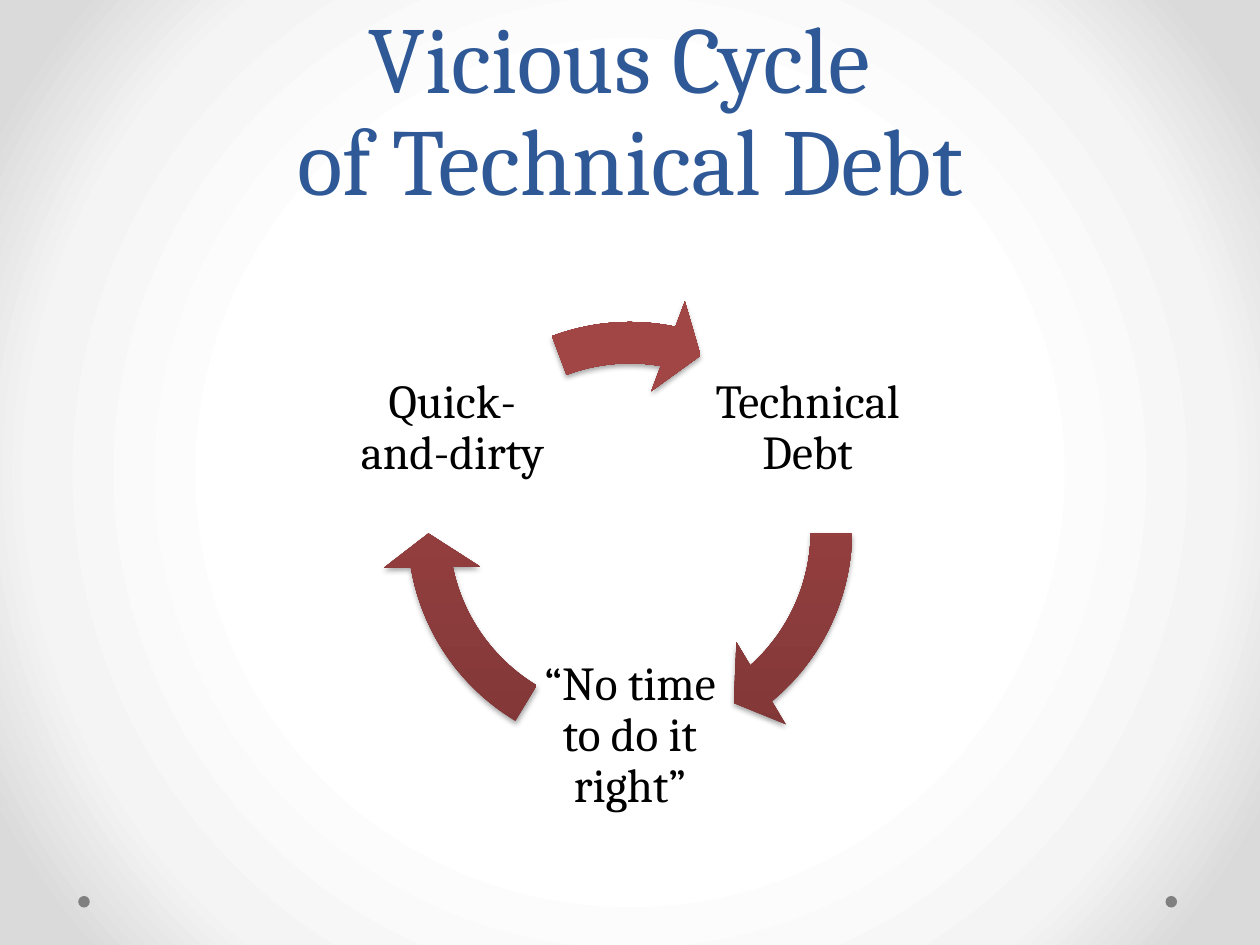
"""Build the slide showing the vicious cycle of technical debt."""
from math import cos, radians, sin

from lxml import etree
from pptx import Presentation
from pptx.dml.color import RGBColor
from pptx.enum.shapes import MSO_SHAPE
from pptx.enum.text import MSO_ANCHOR, MSO_AUTO_SIZE, PP_ALIGN
from pptx.oxml import parse_xml
from pptx.oxml.ns import nsdecls, qn
from pptx.util import Pt

TITLE = "Vicious Cycle \vof Technical Debt"
STEPS = [
    {"label": "Technical Debt", "start": 0.88, "end": 49.37, "top": 160.6},
    {"label": "\u201cNo time to do it right\u201d", "start": 121.02, "end": 169.52, "top": 160.6},
    {"label": "Quick-and-dirty", "start": 249.47, "end": 280.92, "top": 168.5},
]
THEME = {
    "font": "Cambria",
    "title": "2F5897", "title_size": 54, "title_line": 58,
    "label": "000000", "label_size": 27,
    "dot": "808080",
    "arrow": [(0, "7D3535"), (80, "A24545"), (100, "A44343")],
    "background": [(50, "FFFFFF"), (76, "F4F4F4"), (92, "DADADA")],
}
WIDTH, HEIGHT = 720, 540
CENTER_Y, RADIUS = 303.4, 117.2
LABEL_SIDE, ARROW_SIDE = 121, 285
DOT_SIDE, DOT_TOP, DOT_LEFTS = 6.6, 512, (44.7, 666)
LINEAR_UP = '<a:lin ang="16200000" scaled="0"/>'
RADIAL = '<a:path path="circle"><a:fillToRect l="50000" t="50000" r="50000" b="50000"/></a:path>'


def set_gradient(fill, parent, stops, direction):
    fill.gradient()
    stop_xml = "".join(
        f'<a:gs pos="{position * 1000}"><a:srgbClr val="{color}"/></a:gs>'
        for position, color in stops)
    old = parent.find(".//" + qn("a:gradFill"))
    old.getparent().replace(old, parse_xml(
        f'<a:gradFill {nsdecls("a")} rotWithShape="1"><a:gsLst>{stop_xml}</a:gsLst>'
        f'{direction}</a:gradFill>'))


def add_plain_shape(slide, kind, left, top, side):
    shape = slide.shapes.add_shape(kind, Pt(left), Pt(top), Pt(side), Pt(side))
    shape.shadow.inherit = False
    shape.line.fill.background()
    return shape


def style_text(paragraph, size, color, spacing):
    paragraph.alignment = PP_ALIGN.CENTER
    paragraph.line_spacing = spacing
    for run in paragraph.runs:
        run.font.name = THEME["font"]
        run.font.size = Pt(size)
        run.font.color.rgb = RGBColor.from_string(color)


def add_title(slide):
    title = slide.shapes.title
    title.left, title.top, title.width, title.height = Pt(36), Pt(0), Pt(648), Pt(126)
    frame = title.text_frame
    frame.text = TITLE
    frame.auto_size = MSO_AUTO_SIZE.NONE
    frame.vertical_anchor = MSO_ANCHOR.BOTTOM
    style_text(frame.paragraphs[0], THEME["title_size"], THEME["title"], Pt(THEME["title_line"]))


def add_label(slide, text, angle):
    left = WIDTH / 2 + RADIUS * cos(radians(angle)) - LABEL_SIDE / 2
    top = CENTER_Y + RADIUS * sin(radians(angle)) - LABEL_SIDE / 2
    frame = slide.shapes.add_textbox(
        Pt(left), Pt(top), Pt(LABEL_SIDE), Pt(LABEL_SIDE)).text_frame
    frame.word_wrap = True
    frame.vertical_anchor = MSO_ANCHOR.MIDDLE
    frame.margin_left = frame.margin_right = frame.margin_top = frame.margin_bottom = Pt(2.7)
    frame.text = text
    style_text(frame.paragraphs[0], THEME["label_size"], THEME["label"], 0.9)


def add_arrow(slide, start, end, top):
    arrow = add_plain_shape(
        slide, MSO_SHAPE.CIRCULAR_ARROW, (WIDTH - ARROW_SIDE) / 2, top, ARROW_SIDE)
    for index, value in enumerate((0.083, 5.764, end * 0.6, start * 0.6, 0.096)):
        arrow.adjustments[index] = value
    properties = arrow._element.spPr
    set_gradient(arrow.fill, properties, THEME["arrow"], LINEAR_UP)
    effects = properties.find(qn("a:effectLst"))
    shadow = etree.SubElement(
        effects, qn("a:outerShdw"), blurRad=str(Pt(3.1)), dist=str(Pt(1.8)),
        dir="5400000", rotWithShape="0")
    color = etree.SubElement(shadow, qn("a:srgbClr"), val="000000")
    etree.SubElement(color, qn("a:alpha"), val="35000")


def main():
    deck = Presentation()
    deck.slide_width, deck.slide_height = Pt(WIDTH), Pt(HEIGHT)
    slide = deck.slides.add_slide(deck.slide_layouts[5])
    set_gradient(slide.background.fill, slide._element, THEME["background"], RADIAL)
    for left in DOT_LEFTS:
        dot = add_plain_shape(slide, MSO_SHAPE.OVAL, left, DOT_TOP, DOT_SIDE)
        dot.fill.solid()
        dot.fill.fore_color.rgb = RGBColor.from_string(THEME["dot"])
    add_title(slide)
    for index, step in enumerate(STEPS):
        add_label(slide, step["label"], -30 + index * 360 / len(STEPS))
        add_arrow(slide, step["start"], step["end"], step["top"])
    deck.save("out.pptx")


main()
